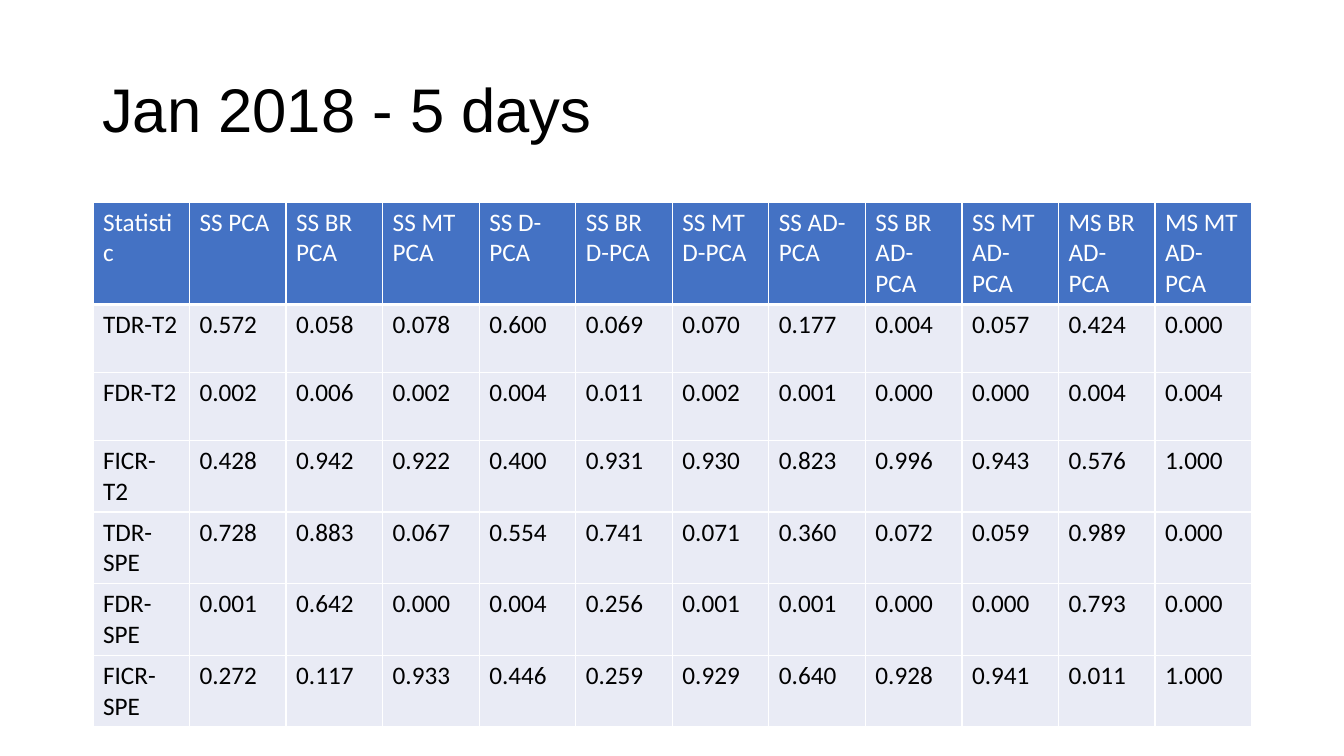
from lxml.etree import SubElement
from pptx import Presentation
from pptx.dml.color import RGBColor
from pptx.enum.text import MSO_ANCHOR, PP_ALIGN
from pptx.oxml.ns import qn
from pptx.util import Pt

EMU_PER_PIXEL = 914400 / 100.8
COLORS = {"text": "000000", "header_text": "FFFFFF", "border": "FFFFFF",
          "header": "4472C4", "body": "E9EBF5"}
HEADER_BORDERS = {"lnL": 1, "lnR": 1, "lnT": 1, "lnB": 3}

HEADINGS = ["Statistic", "SS PCA", "SS BR PCA", "SS MT PCA", "SS D-PCA",
            "SS BR D-PCA", "SS MT D-PCA", "SS AD-PCA", "SS BR AD-PCA",
            "SS MT AD-PCA", "MS BR AD-PCA", "MS MT AD-PCA"]
STATISTICS = {
    "TDR-T2": [0.572, 0.058, 0.078, 0.6, 0.069, 0.07, 0.177, 0.004, 0.057, 0.424, 0],
    "FDR-T2": [0.002, 0.006, 0.002, 0.004, 0.011, 0.002, 0.001, 0, 0, 0.004, 0.004],
    "FICR-T2": [0.428, 0.942, 0.922, 0.4, 0.931, 0.93, 0.823, 0.996, 0.943, 0.576, 1],
    "TDR-SPE": [0.728, 0.883, 0.067, 0.554, 0.741, 0.071, 0.36, 0.072, 0.059, 0.989, 0],
    "FDR-SPE": [0.001, 0.642, 0, 0.004, 0.256, 0.001, 0.001, 0, 0, 0.793, 0],
    "FICR-SPE": [0.272, 0.117, 0.933, 0.446, 0.259, 0.929, 0.64, 0.928, 0.941, 0.011, 1],
}


def emu(pixels):
    """Turn pixels into EMU."""
    return round(pixels * EMU_PER_PIXEL)


class SlideBuilder:
    """Holds the style and the current slide."""

    def __init__(self, slide, title_font="Arial", body_font="Calibri"):
        """Keep the slide and its fonts."""
        self.slide = slide
        self.title_font = title_font
        self.body_font = body_font

    def add_run(self, paragraph, text, font, size, color):
        """Add one formatted run to a paragraph."""
        run = paragraph.add_run()
        run.text = text
        run.font.name = font
        run.font.size = Pt(size)
        run.font.bold = False
        run.font.color.rgb = RGBColor.from_string(COLORS[color])

    def add_title(self, text, left, top, width, height):
        """Place and fill the title placeholder."""
        title = self.slide.shapes.title
        title.left, title.top = emu(left), emu(top)
        title.width, title.height = emu(width), emu(height)
        title.text_frame.word_wrap = True
        title.text_frame.vertical_anchor = MSO_ANCHOR.MIDDLE
        paragraph = title.text_frame.paragraphs[0]
        paragraph.alignment = PP_ALIGN.LEFT
        paragraph.line_spacing = 0.9
        self.add_run(paragraph, text, self.title_font, 44, "text")

    def add_header_borders(self, cell):
        """Draw the header cell borders, thicker below."""
        properties = cell._tc.get_or_add_tcPr()
        for side, width in HEADER_BORDERS.items():
            line = SubElement(properties, qn(f"a:{side}"), w=str(Pt(width)))
            fill = SubElement(line, qn("a:solidFill"))
            SubElement(fill, qn("a:srgbClr"), val=COLORS["border"])

    def add_table(self, rows, left, top, width, row_height):
        """Add a table with equal columns and a coloured header row."""
        frame = self.slide.shapes.add_table(
            len(rows), len(rows[0]), emu(left), emu(top),
            emu(width), emu(row_height * len(rows)))
        table = frame.table
        table.horz_banding = False
        for column in table.columns:
            column.width = emu(width / len(rows[0]))
        for row_index, texts in enumerate(rows):
            table.rows[row_index].height = emu(row_height)
            is_header = row_index == 0
            for column_index, text in enumerate(texts):
                cell = table.cell(row_index, column_index)
                if is_header:
                    self.add_header_borders(cell)
                cell.fill.solid()
                cell.fill.fore_color.rgb = RGBColor.from_string(
                    COLORS["header" if is_header else "body"])
                self.add_run(cell.text_frame.paragraphs[0], text, self.body_font, 18,
                             "header_text" if is_header else "text")


presentation = Presentation()
presentation.slide_width, presentation.slide_height = emu(1344), emu(756)
builder = SlideBuilder(presentation.slides.add_slide(presentation.slide_layouts[5]))
builder.add_title("Jan 2018 - 5 days", 92, 40, 1159, 146)
statistic_rows = [[name, *(f"{value:.3f}" for value in values)]
                  for name, values in STATISTICS.items()]
builder.add_table([HEADINGS, *statistic_rows], 93, 202, 1159, 68)
presentation.save("out.pptx")
